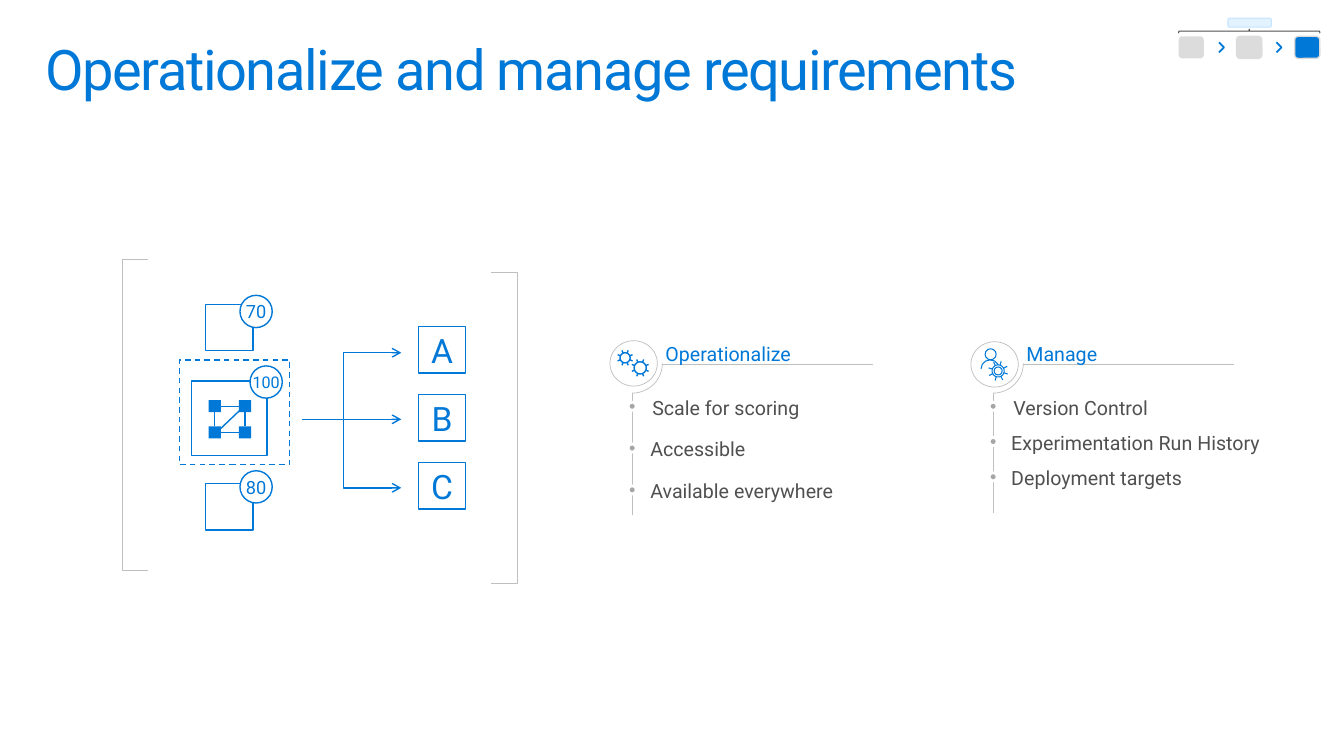
from math import cos, radians, sin

from lxml import etree
from pptx import Presentation
from pptx.dml.color import RGBColor
from pptx.enum import dml, shapes, text
from pptx.oxml import ns
from pptx.util import Inches, Pt

BLUE = RGBColor(0x00, 0x78, 0xD7)
PALE_BLUE = RGBColor(0xE2, 0xF2, 0xFF)
PALE_EDGE = RGBColor(0xC4, 0xE5, 0xFF)
DARK = RGBColor(0x50, 0x50, 0x50)
GREY = RGBColor(0xA6, 0xA6, 0xA6)
RULE = RGBColor(0xBF, 0xBF, 0xBF)
STEP = RGBColor(0xDC, 0xDC, 0xDC)
WHITE = RGBColor(0xFF, 0xFF, 0xFF)
FONT = "Roboto"
KIND = shapes.MSO_SHAPE
NO_INSETS = dict.fromkeys(("margin_left", "margin_top", "margin_right", "margin_bottom"), 0)


def set_all(target, values):
    for name, value in values.items():
        setattr(target, name, value)


def style(shape, fill=None, line=None, width=1.0):
    shape.shadow.inherit = False
    if fill is None:
        shape.fill.background()
    else:
        shape.fill.solid()
        shape.fill.fore_color.rgb = fill
    if line is None:
        shape.line.fill.background()
    else:
        shape.line.color.rgb = line
        shape.line.width = Pt(width)
    return shape


def add_preset(slide, kind, box, adjustments=(), **look):
    shape = slide.shapes.add_shape(kind, *map(Inches, box))
    for index, value in enumerate(adjustments):
        shape.adjustments[index] = value
    return style(shape, **look)


def write(shape, wording, size, color, frame=None, **paragraph_format):
    set_all(shape.text_frame, frame or {})
    paragraph = shape.text_frame.paragraphs[0]
    set_all(paragraph, paragraph_format)
    run = paragraph.add_run()
    run.text = wording
    set_all(run.font, {"name": FONT, "size": Pt(size)})
    run.font.color.rgb = color
    return run


def add_label(slide, wording, box, color, size=14):
    label = slide.shapes.add_textbox(*map(Inches, box))
    frame = {**NO_INSETS, "word_wrap": True, "vertical_anchor": text.MSO_ANCHOR.MIDDLE}
    write(label, wording, size, color, frame)


def write_centred(shape, wording, size):
    frame = {**NO_INSETS, "word_wrap": False, "vertical_anchor": text.MSO_ANCHOR.MIDDLE}
    write(shape, wording, size, BLUE, frame, alignment=text.PP_ALIGN.CENTER)


def add_line(slide, start, end, color=BLUE, width=1.0, arrow=False, bend=None):
    kind = shapes.MSO_CONNECTOR.STRAIGHT if bend is None else shapes.MSO_CONNECTOR.ELBOW
    line = slide.shapes.add_connector(kind, *map(Inches, (*start, *end)))
    line.line.color.rgb = color
    line.line.width = Pt(width)
    properties = line._element.spPr
    if arrow:
        etree.SubElement(properties.find(ns.qn("a:ln")), ns.qn("a:tailEnd"), type="arrow")
    if bend is not None:
        guides = properties.find(ns.qn("a:prstGeom")).get_or_add_avLst()
        etree.SubElement(guides, ns.qn("a:gd"), name="adj1", fmla=f"val {bend}")
    etree.SubElement(properties, ns.qn("a:effectLst"))
    return line


def add_strokes(slide, strokes, width):
    strokes = [[(Inches(x), Inches(y)) for x, y in stroke] for stroke in strokes]
    builder = slide.shapes.build_freeform(*strokes[0][0])
    for index, (first, *rest) in enumerate(strokes):
        if index:
            builder.move_to(*first)
        builder.add_line_segments(rest, close=False)
    style(builder.convert_to_shape(), line=BLUE, width=width)


def add_gear(slide, x, y, radius, tip, turn, width):
    def at(angle, distance):
        return x + distance * cos(radians(angle)), y + distance * sin(radians(angle))

    rim = [at(angle, radius) for angle in range(0, 361, 10)]
    teeth = [[at(turn + 45 * i, radius), at(turn + 45 * i, tip)] for i in range(8)]
    add_strokes(slide, [rim, *teeth], width)


def add_operate_icon(slide):
    add_gear(slide, 6.2, 3.55, 0.05, 0.08, 22.5, 1)
    add_gear(slide, 6.35, 3.65, 0.06, 0.09, 22.5, 1)


def add_manage_icon(slide):
    add_gear(slide, 9.9, 3.68, 0.06, 0.1, 18, 0.75)
    look = {"line": BLUE, "width": 0.75}
    add_preset(slide, KIND.OVAL, (9.86, 3.64, 0.08, 0.08), **look)
    add_preset(slide, KIND.OVAL, (9.77, 3.46, 0.11, 0.11), **look)
    add_preset(slide, KIND.ARC, (9.73, 3.57, 0.18, 0.18), (108, 200.4), **look)


def add_title(slide):
    title = slide.shapes.add_textbox(*map(Inches, (0.29, 0.32, 12.75, 0.98)))
    frame = {"word_wrap": True, "margin_left": Inches(0.16), "margin_right": Inches(0.16),
             "margin_top": Inches(0.1), "margin_bottom": Inches(0.1)}
    run = write(title, "Operationalize and manage requirements", 40, BLUE, frame, line_spacing=0.9)
    run.font._element.set("spc", "-100")


def add_progress(slide):
    add_preset(slide, KIND.ROUNDED_RECTANGLE, (12.18, 0.18, 0.43, 0.09),
               fill=PALE_BLUE, line=PALE_EDGE, width=0.75)
    for x in (12.09, 12.66):
        add_strokes(slide, [[(x, 0.42), (x + 0.05, 0.47), (x, 0.52)]], 1.25)
    for index, fill in enumerate((STEP, STEP, BLUE)):
        add_preset(slide, KIND.ROUNDED_RECTANGLE, (11.69 + 0.575 * index, 0.36, 0.25, 0.22),
                   fill=fill, line=STEP if index else None)
    brace = add_preset(slide, KIND.LEFT_BRACE, (12.37, -0.39, 0.04, 1.4), line=DARK, width=0.75)
    brace.rotation = 90


def add_topic(slide, x, heading, items, pitch, stem_end, icon_top, add_icon):
    add_preset(slide, KIND.ARC, (x - 0.3, 3.31, 0.6, 0.59), (0, 54), line=RULE, width=0.5)
    add_line(slide, (x + 0.3, 3.61), (x + 2.39, 3.61), RULE, 0.5)
    add_line(slide, (x, 3.9), (x, stem_end), RULE, 0.5)
    add_label(slide, heading, (x + 0.33, 3.39, 2.38, 0.24), BLUE)
    for index, item in enumerate(items):
        top = 3.92 + pitch * index
        add_label(slide, item, (x + (0.18 if index else 0.2), top, 3.2, 0.24), DARK)
        add_preset(slide, KIND.OVAL, (x - 0.04, top + 0.07, 0.08, 0.08),
                   fill=GREY, line=WHITE, width=2)
    add_preset(slide, KIND.OVAL, (x - 0.22, icon_top, 0.47, 0.45),
               fill=WHITE, line=RULE, width=0.5)
    add_icon(slide)


def add_models(slide):
    selection = add_preset(slide, KIND.RECTANGLE, (1.78, 3.57, 1.09, 1.04), line=BLUE)
    selection.line.dash_style = dml.MSO_LINE.DASH
    for box in ((2.04, 3.02, 0.47, 0.46), (1.9, 3.78, 0.75, 0.74), (2.04, 4.8, 0.47, 0.46)):
        add_preset(slide, KIND.RECTANGLE, box, line=BLUE)
    for score, x, y, size in (("70", 2.38, 2.93, 13), ("100", 2.48, 3.63, 11.5),
                              ("80", 2.38, 4.67, 13)):
        badge = add_preset(slide, KIND.OVAL, (x, y, 0.32, 0.32), fill=WHITE, line=BLUE)
        write_centred(badge, score, size)


def add_network(slide):
    nodes = [add_preset(slide, KIND.RECTANGLE, (x, y, 0.12, 0.12), fill=BLUE)
             for x, y in ((2.07, 3.97), (2.37, 3.97), (2.37, 4.23), (2.07, 4.23))]
    # Each node leaves by the first side and enters the next by the second
    for index, (leave, enter) in enumerate(((3, 1), (2, 0), (1, 3), (0, 2))):
        link = add_line(slide, (2.13, 4.03), (2.43, 4.03))
        link.begin_connect(nodes[index], leave)
        link.end_connect(nodes[(index + 1) % 4], enter)
    add_line(slide, (2.39, 4.06), (2.18, 4.26))


def add_targets(slide):
    for index, letter in enumerate("ABC"):
        target = add_preset(slide, KIND.RECTANGLE, (4.15, 3.24 + 0.675 * index, 0.47, 0.46), line=BLUE)
        write_centred(target, letter, 24)
    add_line(slide, (3, 4.16), (3.98, 4.16), arrow=True)
    for y in (4.84, 3.5):
        add_line(slide, (3.4, 4.16), (3.98, y), arrow=True, bend=1500)


def main():
    deck = Presentation()
    deck.slide_width, deck.slide_height = Inches(13.33), Inches(7.5)
    slide = deck.slides.add_slide(deck.slide_layouts[6])

    # Title and progress marker
    add_title(slide)
    add_progress(slide)

    # Topics on the right
    add_topic(slide, 6.27, "Operationalize",
              ("Scale for scoring", "Accessible", "Available everywhere"),
              0.415, 5.11, 3.38, add_operate_icon)
    add_topic(slide, 9.85, "Manage",
              ("Version Control", "Experimentation Run History", "Deployment targets"),
              0.35, 5.09, 3.39, add_manage_icon)

    # Scored models deployed to targets, between brackets
    add_models(slide)
    add_targets(slide)
    add_network(slide)
    for kind, x, y in ((KIND.LEFT_BRACKET, 1.21, 2.57), (KIND.RIGHT_BRACKET, 4.87, 2.7)):
        add_preset(slide, kind, (x, y, 0.26, 3.09), (0,), line=RULE, width=0.5)

    deck.save("out.pptx")


if __name__ == "__main__":
    main()
